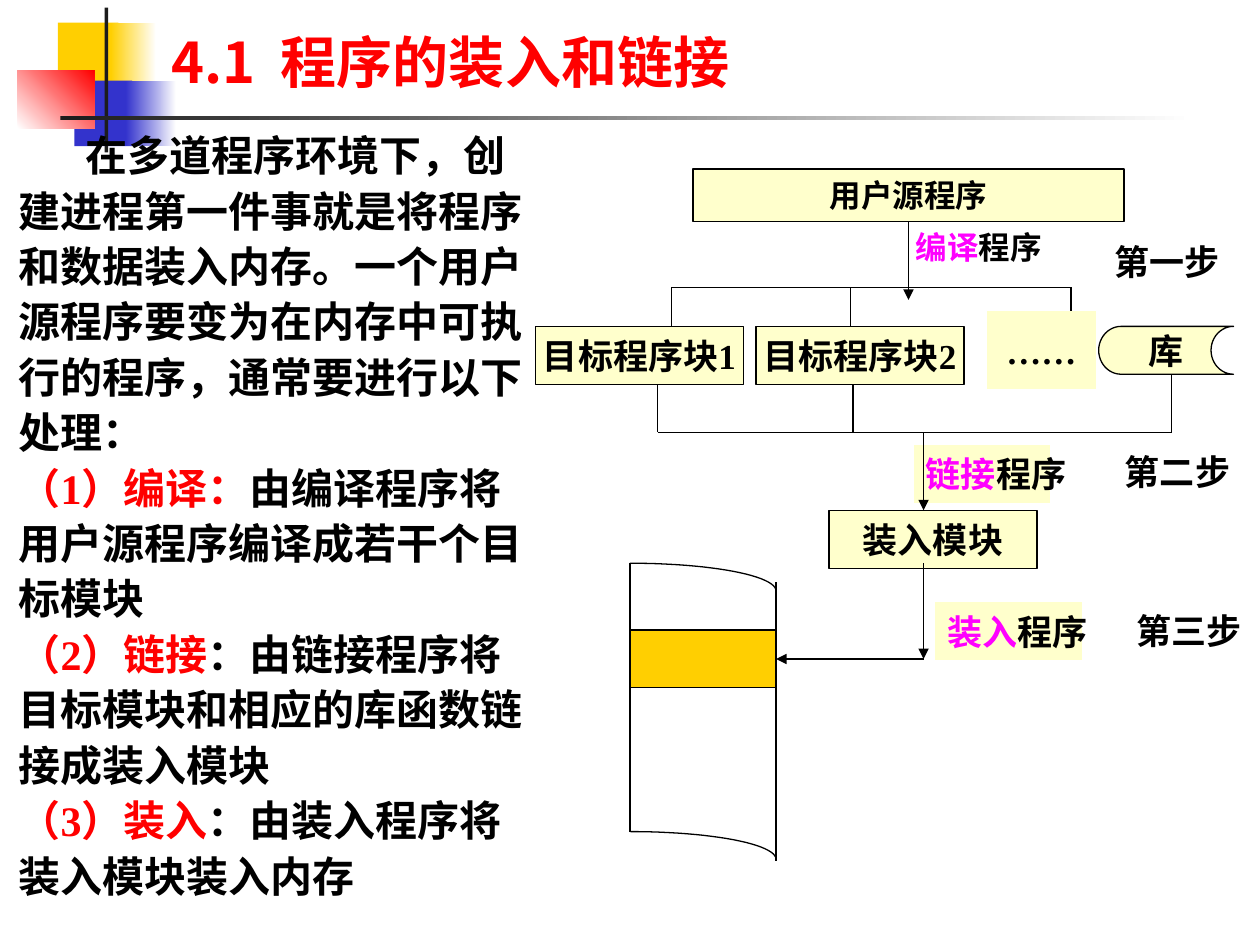
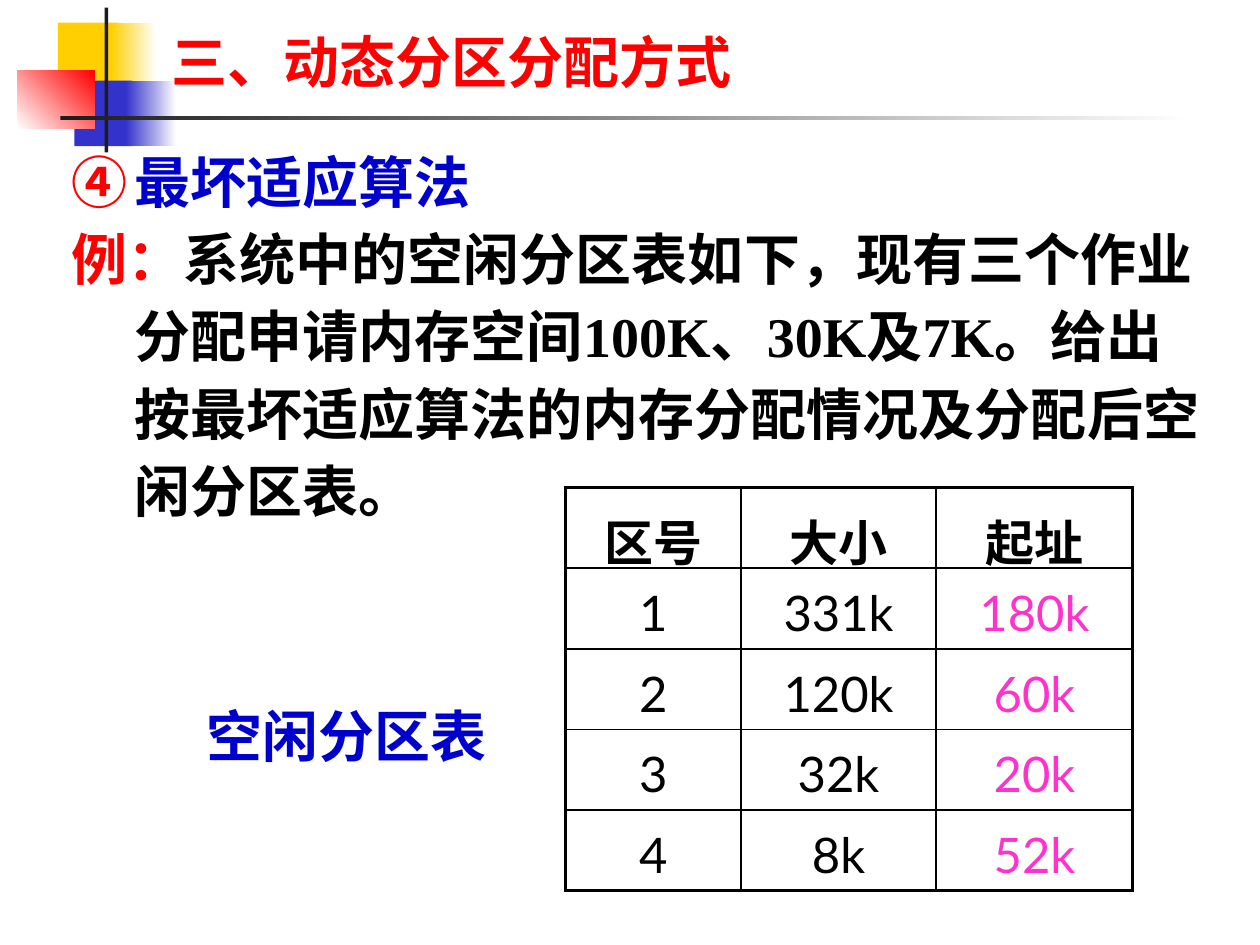
from dataclasses import dataclass
from math import cos, pi, sin

from lxml.etree import SubElement
from pptx import Presentation
from pptx.dml.color import RGBColor as RGB
from pptx.enum.shapes import MSO_CONNECTOR as CONN, MSO_SHAPE as SHAPE
from pptx.enum.text import MSO_ANCHOR as ANCHOR, PP_ALIGN as ALIGN
from pptx.oxml.ns import qn
from pptx.util import Emu, Inches, Pt

COLS, ROWS = 100, 75


@dataclass(frozen=True)
class Theme:
    black: str = "000000"
    white: str = "FFFFFF"
    red: str = "FF0000"
    blue: str = "0000CC"
    magenta: str = "FF00FF"
    pink: str = "FF33CC"
    cream: str = "FFFFCC"
    gold: str = "FFCF01"
    indigo: str = "3333CC"
    ink: str = "1C1C1C"
    sans: str = "Noto Sans CJK SC"
    serif: str = "Times New Roman"
    table: str = "Lato"
    title: int = 32
    cell: int = 28
    body: int = 24
    label: int = 20
    small: int = 18
    thin: float = 0.75
    inner: float = 1
    outer: float = 2.25


T = Theme()


class Deck:
    def __init__(self):
        self.prs = Presentation()
        self.prs.slide_width, self.prs.slide_height = Inches(10), Inches(7.5)
        self.s = None

    def x(self, cols):
        return Emu(round(self.prs.slide_width * cols / COLS))

    def y(self, rows):
        return Emu(round(self.prs.slide_height * rows / ROWS))

    def place(self, at):
        left, top, width, height = at
        return self.x(left), self.y(top), self.x(width), self.y(height)

    def slide(self, title):
        self.s = self.prs.slides.add_slide(self.prs.slide_layouts[6])
        self.ornament()
        self.text((12.6, 0.6, 85.2, 7.4), [[(title, T.red)]], T.title, T.sans,
                  anchor=ANCHOR.BOTTOM)

    def ornament(self):
        self.shape((4.6, 1.8, 4.8, 5.2), T.gold)
        self.gradient((8.8, 1.8, 3.6, 5.2), T.gold, T.white)
        self.shape((5.9, 6.4, 4.6, 5.2), T.indigo)
        self.gradient((10, 6.4, 4, 5.2), T.indigo, T.white)
        self.gradient((1.4, 5.6, 6.1, 4.6), T.white, T.red, 45)
        self.shape((8.3, 0.6, 0.3, 11.5), T.ink)
        self.gradient((4.8, 9.2, 90, 0.3), T.ink, T.white)

    def shape(self, at, fill, kind=SHAPE.RECTANGLE, outline=False):
        sp = self.s.shapes.add_shape(kind, *self.place(at))
        sp.shadow.inherit = False
        sp.fill.solid()
        sp.fill.fore_color.rgb = RGB.from_string(fill)
        if outline:
            self.stroke(sp)
        else:
            sp.line.fill.background()
        return sp

    def gradient(self, at, start, end, angle=0):
        sp = self.shape(at, start)
        sp.fill.gradient()
        sp.fill.gradient_angle = angle
        for stop, color in zip(sp.fill.gradient_stops, (start, end)):
            stop.color.rgb = RGB.from_string(color)

    def stroke(self, sp):
        sp.line.color.rgb = RGB.from_string(T.black)
        sp.line.width = Pt(T.thin)

    def box(self, at, parts, size=T.label, kind=SHAPE.FLOWCHART_PROCESS,
            outline=True, align=ALIGN.CENTER):
        sp = self.shape(at, T.cream, kind, outline)
        tf = sp.text_frame
        tf.word_wrap = False
        tf.vertical_anchor = ANCHOR.MIDDLE
        self.fill_text(tf, [parts], size, T.serif, align=align)
        return sp

    def text(self, at, paragraphs, size, font, anchor=ANCHOR.TOP, **style):
        tf = self.s.shapes.add_textbox(*self.place(at)).text_frame
        tf.word_wrap = True
        tf.vertical_anchor = anchor
        self.fill_text(tf, paragraphs, size, font, **style)
        return tf

    def fill_text(self, tf, paragraphs, size, font, bold=True,
                  align=ALIGN.LEFT, spacing=None):
        for i, parts in enumerate(paragraphs):
            p = tf.add_paragraph() if i else tf.paragraphs[0]
            p.text = parts[0][0]
            for words, _ in parts[1:]:
                p.add_run().text = words
            p.alignment = align
            if spacing:
                p.line_spacing = spacing
            for r, (_, color) in zip(p.runs, parts):
                self.style_run(r, size, font, color, bold)

    def style_run(self, r, size, font, color, bold):
        r.font.size, r.font.name, r.font.bold = Pt(size), font, bold
        r.font.color.rgb = RGB.from_string(color)
        rPr = r._r.get_or_add_rPr()
        rPr.set("lang", "zh-CN")
        SubElement(rPr, qn("a:ea")).set("typeface", T.sans)

    def indent(self, p, left, first):
        pPr = p._p.get_or_add_pPr()
        pPr.set("marL", str(self.x(left)))
        pPr.set("indent", str(self.x(first)))
        return pPr

    def number(self, pPr, start, color):
        SubElement(SubElement(pPr, qn("a:buClr")), qn("a:srgbClr")).set("val", color)
        bullet = SubElement(pPr, qn("a:buAutoNum"))
        bullet.set("type", "circleNumDbPlain")
        bullet.set("startAt", str(start))

    def line(self, x1, y1, x2, y2, arrow=False, begin=None, end=None):
        c = self.s.shapes.add_connector(CONN.STRAIGHT, self.x(x1), self.y(y1),
                                        self.x(x2), self.y(y2))
        self.stroke(c)
        if begin:
            c.begin_connect(*begin)
        if end:
            c.end_connect(*end)
        spPr = c._element.spPr
        if arrow:
            SubElement(spPr.find(qn("a:ln")), qn("a:tailEnd")).set("type", "triangle")
        SubElement(spPr, qn("a:effectLst"))

    def curve(self, left, top, width, height, steps=24):
        turns = [pi / 2 * i / steps for i in range(steps + 1)]
        points = [(self.x(left + width * sin(t)), self.y(top + height * (1 - cos(t))))
                  for t in turns]
        builder = self.s.shapes.build_freeform(*points[0])
        builder.add_line_segments(points[1:], close=False)
        sp = builder.convert_to_shape()
        sp.shadow.inherit = False
        sp.fill.background()
        self.stroke(sp)

    def table(self, left, top, widths, row_height, rows):
        at = self.place((left, top, sum(widths), row_height * len(rows)))
        tbl = self.s.shapes.add_table(len(rows), len(widths), *at).table
        tbl.first_row = tbl.horz_banding = False
        for column, width in zip(tbl.columns, widths):
            column.width = self.x(width)
        last_row, last_col = len(rows) - 1, len(widths) - 1
        for i, row in enumerate(rows):
            for j, words in enumerate(row):
                cell = tbl.cell(i, j)
                color = T.pink if i and j == last_col else T.black
                self.fill_text(cell.text_frame, [[(words, color)]], T.cell, T.table,
                               bold=i == 0, align=ALIGN.CENTER, spacing=1.15)
                cell.fill.background()
                self.borders(cell, L=j == 0, R=j == last_col, T=i == 0, B=i == last_row)

    def borders(self, cell, **outer_sides):
        tcPr = cell._tc.get_or_add_tcPr()
        for i, (side, outer) in enumerate(outer_sides.items()):
            ln = SubElement(tcPr, qn(f"a:ln{side}"))
            ln.set("w", str(Pt(T.outer if outer else T.inner)))
            fill = SubElement(ln, qn("a:solidFill"))
            SubElement(fill, qn("a:srgbClr")).set("val", T.black)
            tcPr.insert(i, ln)


def loading_text(d):
    tf = d.text((0.5, 9.4, 43.6, 62.5), [
        [("在多道程序环境下，创建进程第一件事就是将程序和数据装入内存。"
          "一个用户源程序要变为在内存中可执行的程序，通常要进行以下处理：", T.black)],
        [("（1）编译：", T.red), ("由编译程序将用户源程序编译成若干个目标模块", T.black)],
        [("（2）链接", T.red), ("：由链接程序将目标模块和相应的库函数链接成装入模块", T.black)],
        [("（3）装入", T.red), ("：由装入程序将装入模块装入内存", T.black)],
    ], T.body, T.serif, spacing=1.1)
    d.indent(tf.paragraphs[0], 0, 5.3)


def loading_diagram(d):
    def tool(verb):
        return [(verb, T.magenta), ("程序", T.black)]

    source = d.box((55, 13.4, 34.2, 4.2), [("用户源程序", T.black)], T.small,
                   kind=SHAPE.RECTANGLE)
    d.line(72.1, 17.6, 72.1, 23.8, arrow=True, begin=(source, 2))
    d.text((71.7, 17.6, 14.2, 4), [tool("编译")], T.small, T.serif)

    d.line(53.3, 22.8, 85, 22.8)
    for x, bottom in ((53.3, 25.9), (67.5, 25.9), (85, 24.9)):
        d.line(x, 22.8, x, bottom)
    for i in range(2):
        d.box((42.5 + 17.5 * i, 25.9, 16.5, 4.6), [(f"目标程序块{i + 1}", T.black)])
    d.box((78.3, 24.7, 8.7, 6.2), [("……", T.black)], outline=False)
    d.box((87.2, 25.9, 10.7, 3.8), [("库", T.black)], kind=SHAPE.FLOWCHART_STORED_DATA)

    for x, top in ((52.2, 30.5), (67.7, 30.5), (93, 29.7)):
        d.line(x, top, x, 34.3)
    d.line(52.2, 34.3, 93, 34.3)

    d.box((72.5, 35.3, 10.8, 4.6), tool("链接"), outline=False, align=ALIGN.LEFT)
    d.line(73.3, 34.3, 73.3, 40.5, arrow=True)
    d.box((65.8, 40.5, 16.5, 4.6), [("装入模块", T.black)])
    d.box((74.2, 47.8, 11.7, 4.6), tool("装入"), outline=False, align=ALIGN.LEFT)
    d.line(73.3, 44.7, 73.3, 52.3, arrow=True)

    block = d.shape((50, 50, 11.6, 4.6), T.gold, outline=True)
    d.line(50, 44.7, 50, 66)
    d.line(61.6, 46.2, 61.6, 68.3)
    for top in (44.7, 66):
        d.curve(50, top, 11.6, 2.2)
    d.line(73.3, 52.3, 61.6, 52.3, arrow=True, end=(block, 3))

    for x, y, step in ((87.5, 18.6, "一"), (88.3, 35.3, "二"), (89.2, 47.9, "三")):
        d.text((x, y, 10.8, 4.3), [[(f"第{step}步", T.black)]], T.label, T.serif)


def worst_fit(d):
    d.table(44.9, 38.7, (13.9, 15.5, 15.6), 6.4, [
        ("区号", "大小", "起址"),
        ("1", "331k", "180k"),
        ("2", "120k", "60k"),
        ("3", "32k", "20k"),
        ("4", "8k", "52k"),
    ])
    d.text((12.1, 55.2, 30.8, 6.3), [[("空闲分区表", T.blue)]], T.title, T.table,
           align=ALIGN.CENTER)
    tf = d.text((4.7, 10.4, 92.5, 31.6), [
        [("最坏适应算法", T.blue)],
        [("例：", T.red),
         ("系统中的空闲分区表如下，现有三个作业分配申请内存空间100K、30K及7K。"
          "给出按最坏适应算法的内存分配情况及分配后空闲分区表。", T.black)],
    ], T.title, T.serif, spacing=1.15)
    heading, example = (d.indent(p, 5, -5) for p in tf.paragraphs)
    d.number(heading, 4, T.red)


def main():
    d = Deck()
    d.slide("4.1  程序的装入和链接")
    loading_text(d)
    loading_diagram(d)
    d.slide("三、动态分区分配方式")
    worst_fit(d)
    d.prs.save("out.pptx")


if __name__ == "__main__":
    main()
